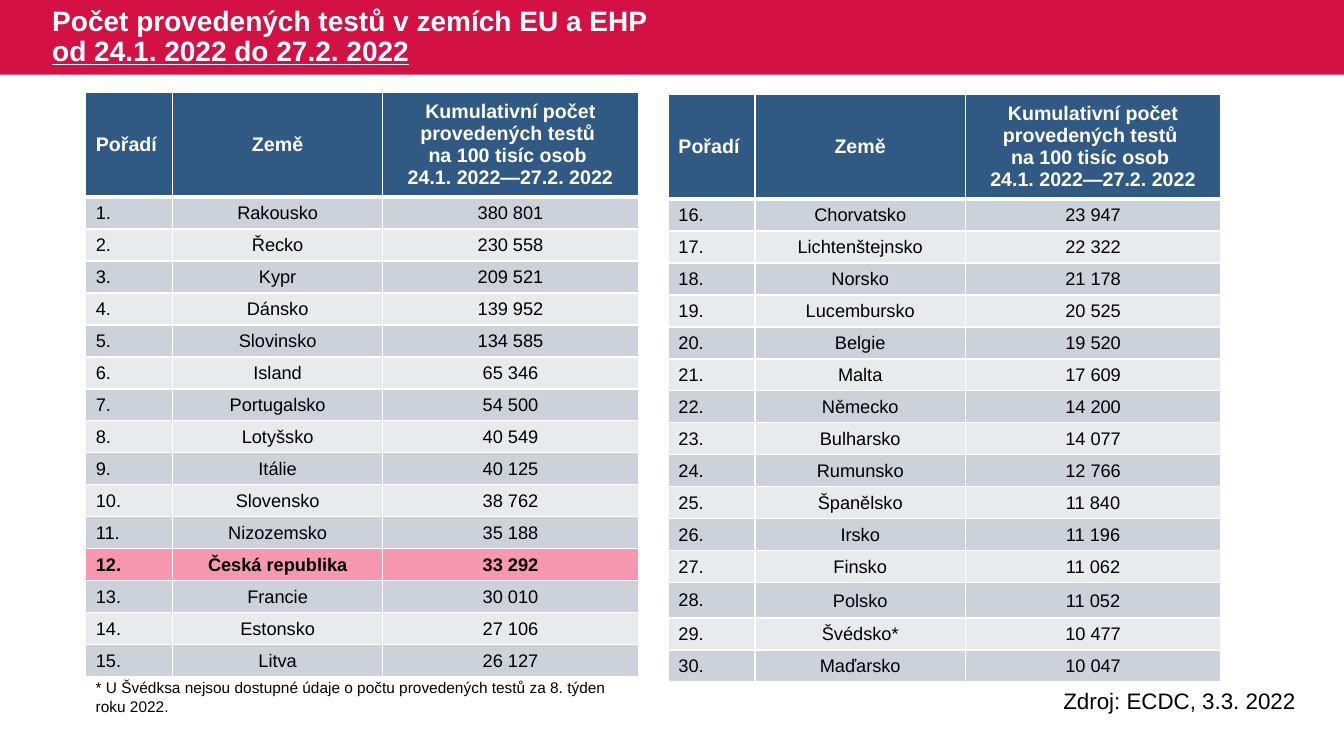
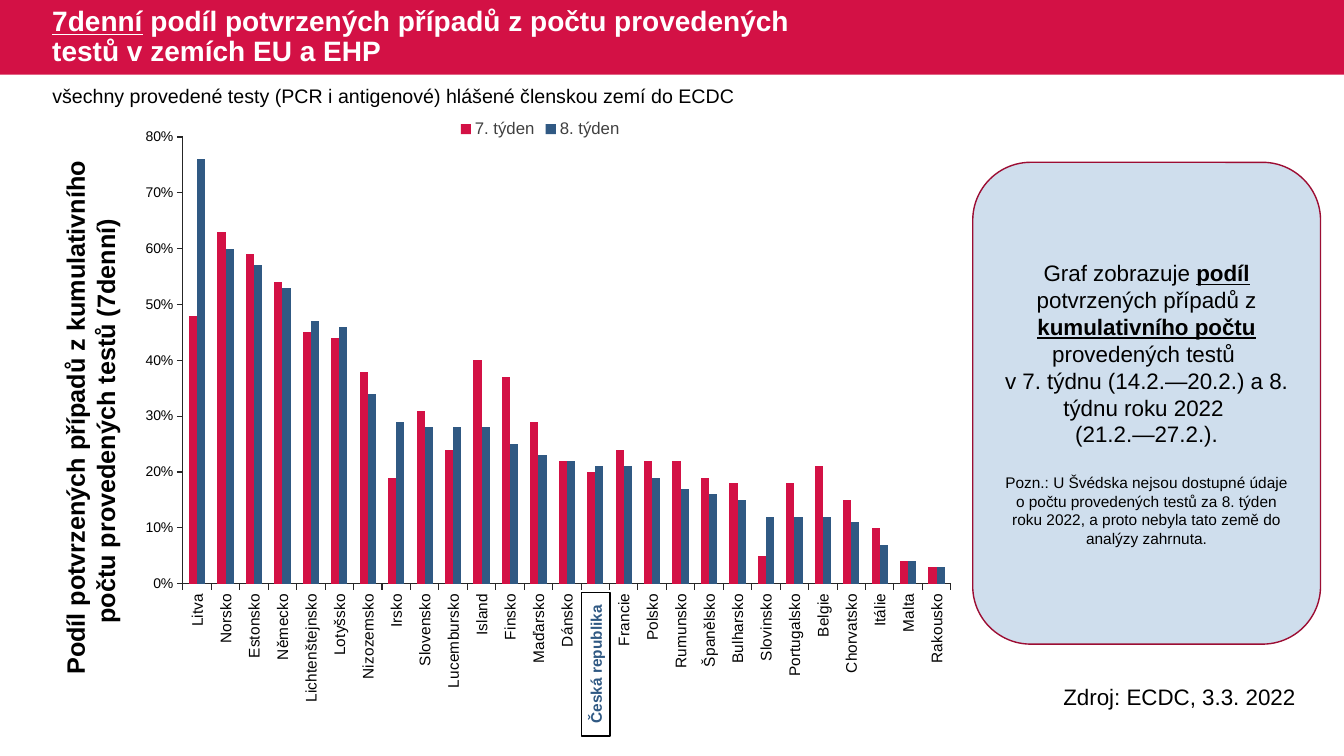
from dataclasses import dataclass
from typing import Optional

from lxml import etree
from pptx import Presentation
from pptx.chart.data import CategoryChartData
from pptx.dml.color import RGBColor
from pptx.enum.chart import XL_CHART_TYPE, XL_LEGEND_POSITION, XL_TICK_MARK
from pptx.enum.shapes import MSO_SHAPE
from pptx.enum.text import MSO_ANCHOR, PP_ALIGN
from pptx.oxml.ns import qn
from pptx.util import Emu, Inches, Pt

LEFT, CENTER = PP_ALIGN.LEFT, PP_ALIGN.CENTER
TOP, MIDDLE = MSO_ANCHOR.TOP, MSO_ANCHOR.MIDDLE
RECTANGLE, ROUNDED = MSO_SHAPE.RECTANGLE, MSO_SHAPE.ROUNDED_RECTANGLE
COLUMNS, LEGEND_TOP = XL_CHART_TYPE.COLUMN_CLUSTERED, XL_LEGEND_POSITION.TOP
OUTSIDE, NO_TICK = XL_TICK_MARK.OUTSIDE, XL_TICK_MARK.NONE

FONT = "Arial"
RED, BLUE, WHITE, BLACK = "D31145", "305983", "FFFFFF", "000000"
STRIPES = ("CDD1D9", "E8EAED")
HIGHLIGHT, PANEL, PANEL_EDGE = "F797B0", "CFDEED", "9C0D33"
AXIS, LEGEND = "262626", "404040"

SLIDE_WIDTH, SLIDE_HEIGHT = Inches(13.333), Inches(7.5)
HOME = "Česká republika"
SOURCE = "Zdroj: ECDC, 3.3. 2022"

COLUMN_WIDTHS = (6.45, 15.65, 19)
HEADER_HEIGHT, ROW_HEIGHT, TALL_ROW_HEIGHT = 12.8, 4, 4.67
TALL_RANK = 28
HEADERS = (
    ("Pořadí",),
    ("Země",),
    ("Kumulativní počet provedených testů ", "na 100 tisíc osob ", "24.1. 2022—27.2. 2022"),
)
TESTS = (
    ("Rakousko", "380 801"), ("Řecko", "230 558"), ("Kypr", "209 521"),
    ("Dánsko", "139 952"), ("Slovinsko", "134 585"), ("Island", "65 346"),
    ("Portugalsko", "54 500"), ("Lotyšsko", "40 549"), ("Itálie", "40 125"),
    ("Slovensko", "38 762"), ("Nizozemsko", "35 188"), (HOME, "33 292"),
    ("Francie", "30 010"), ("Estonsko", "27 106"), ("Litva", "26 127"),
    ("Chorvatsko", "23 947"), ("Lichtenštejnsko", "22 322"), ("Norsko", "21 178"),
    ("Lucembursko", "20 525"), ("Belgie", "19 520"), ("Malta", "17 609"),
    ("Německo", "14 200"), ("Bulharsko", "14 077"), ("Rumunsko", "12 766"),
    ("Španělsko", "11 840"), ("Irsko", "11 196"), ("Finsko", "11 062"),
    ("Polsko", "11 052"), ("Švédsko*", "10 477"), ("Maďarsko", "10 047"),
)
ROWS_PER_TABLE = 15

# Country, share in week 7, share in week 8
POSITIVITY = (
    ("Litva", 0.48, 0.76), ("Norsko", 0.63, 0.6), ("Estonsko", 0.59, 0.57),
    ("Německo", 0.54, 0.53), ("Lichtenštejnsko", 0.45, 0.47), ("Lotyšsko", 0.44, 0.46),
    ("Nizozemsko", 0.38, 0.34), ("Irsko", 0.19, 0.29), ("Slovensko", 0.31, 0.28),
    ("Lucembursko", 0.24, 0.28), ("Island", 0.4, 0.28), ("Finsko", 0.37, 0.25),
    ("Maďarsko", 0.29, 0.23), ("Dánsko", 0.22, 0.22), (HOME, 0.2, 0.21),
    ("Francie", 0.24, 0.21), ("Polsko", 0.22, 0.19), ("Rumunsko", 0.22, 0.17),
    ("Španělsko", 0.19, 0.16), ("Bulharsko", 0.18, 0.15), ("Slovinsko", 0.05, 0.12),
    ("Portugalsko", 0.18, 0.12), ("Belgie", 0.21, 0.12), ("Chorvatsko", 0.15, 0.11),
    ("Itálie", 0.1, 0.07), ("Malta", 0.04, 0.04), ("Rakousko", 0.03, 0.03),
)
SERIES = (("7. týden", RED), ("8. týden", BLUE))
PLOT_SHARES = {"x": 0.078, "y": 0.047, "w": 0.907, "h": 0.745}


def across(percent: float) -> Emu:
    return Emu(round(SLIDE_WIDTH * percent / 100))


def down(percent: float) -> Emu:
    return Emu(round(SLIDE_HEIGHT * percent / 100))


@dataclass(frozen=True)
class Area:
    """A rectangle in percent of the slide's width and height."""
    left: float
    top: float
    width: float
    height: float

    def lengths(self) -> tuple:
        return across(self.left), down(self.top), across(self.width), down(self.height)


@dataclass(frozen=True)
class Span:
    text: str
    bold: Optional[bool] = None
    underline: bool = False


@dataclass(frozen=True)
class Para:
    spans: tuple
    size: Optional[float] = None
    space_before: float = 0


BAND = Area(0, 0, 100, 9.87)
TITLE = Area(3.15, 0, 61.2, 9.87)


def color(value: str) -> RGBColor:
    return RGBColor.from_string(value)


def plain(*lines: str) -> list:
    return [Para((Span(line),)) for line in lines]


def set_font(font, size: float, ink: str, bold: bool = False) -> None:
    font.name, font.size, font.bold = FONT, Pt(size), bold
    font.color.rgb = color(ink)


def write(frame, paras: list, *, size: float, ink: str = BLACK, bold: bool = False,
          align=LEFT, line_spacing: Optional[float] = None) -> None:
    for index, para in enumerate(paras):
        paragraph = frame.paragraphs[0] if index == 0 else frame.add_paragraph()
        paragraph.alignment = align
        if line_spacing:
            paragraph.line_spacing = line_spacing
        if para.space_before:
            paragraph.space_before = Pt(para.space_before)
        for span in para.spans:
            for number, line in enumerate(span.text.split("\n")):
                if number:
                    paragraph.add_line_break()
                if not line:
                    continue
                run = paragraph.add_run()
                run.text = line
                set_font(run.font, para.size or size, ink,
                         bold if span.bold is None else span.bold)
                run.font.underline = span.underline


def add_text(page, area: Area, paras: list, *, anchor=TOP, rotation: float = 0, **text) -> None:
    box = page.shapes.add_textbox(*area.lengths())
    box.rotation = rotation
    box.text_frame.word_wrap = True
    box.text_frame.vertical_anchor = anchor
    write(box.text_frame, paras, **text)


def add_panel(page, area: Area, fill: str, *, preset=RECTANGLE, edge: Optional[str] = None,
              paras: tuple = (), rotation: float = 0, **text) -> None:
    panel = page.shapes.add_shape(preset, *area.lengths())
    panel.shadow.inherit = False
    panel.rotation = rotation
    panel.fill.solid()
    panel.fill.fore_color.rgb = color(fill)
    if edge:
        panel.line.color.rgb = color(edge)
        panel.line.width = Pt(1)
    else:
        panel.line.fill.background()
    if paras:
        panel.text_frame.word_wrap = True
        panel.text_frame.vertical_anchor = MIDDLE
        write(panel.text_frame, paras, align=CENTER, **text)


def add_page(deck, title: tuple, source_top: float):
    """Add a slide with the red band, its title and the source line."""
    page = deck.slides.add_slide(deck.slide_layouts[6])
    add_panel(page, BAND, RED)
    add_text(page, TITLE, [Para(title)], anchor=MIDDLE, size=20, ink=WHITE, bold=True,
             line_spacing=0.9)
    add_text(page, Area(78.38, source_top, 21.4, 4.93), plain(SOURCE), size=16)
    return page


def style_cell(cell, fill: str, bottom: float = 1) -> None:
    """Give a cell white borders and a solid fill."""
    properties = cell._tc.get_or_add_tcPr()
    for side, width in (("L", 1), ("R", 1), ("T", 1), ("B", bottom)):
        border = etree.SubElement(properties, qn(f"a:ln{side}"), w=str(Pt(width)))
        solid = etree.SubElement(border, qn("a:solidFill"))
        etree.SubElement(solid, qn("a:srgbClr"), val=WHITE)
    cell.fill.solid()
    cell.fill.fore_color.rgb = color(fill)
    cell.vertical_anchor = MIDDLE


def add_ranking(page, left: float, top: float, first_rank: int) -> None:
    rows = TESTS[first_rank - 1:first_rank - 1 + ROWS_PER_TABLE]
    heights = [HEADER_HEIGHT] + [
        TALL_ROW_HEIGHT if first_rank + index == TALL_RANK else ROW_HEIGHT
        for index in range(len(rows))]
    area = Area(left, top, sum(COLUMN_WIDTHS), sum(heights))
    table = page.shapes.add_table(len(heights), len(COLUMN_WIDTHS), *area.lengths()).table
    for column, width in zip(table.columns, COLUMN_WIDTHS):
        column.width = across(width)
    for row, height in zip(table.rows, heights):
        row.height = down(height)

    for column, lines in enumerate(HEADERS):
        cell = table.cell(0, column)
        style_cell(cell, BLUE, bottom=3)
        write(cell.text_frame, plain(*lines), size=14, ink=WHITE, bold=True,
              align=CENTER if column else LEFT)
    for index, (country, tests) in enumerate(rows):
        is_home = country == HOME
        for column, value in enumerate((f"{first_rank + index}.", country, tests)):
            cell = table.cell(index + 1, column)
            style_cell(cell, HIGHLIGHT if is_home else STRIPES[index % 2])
            if column:
                cell.margin_left = cell.margin_right = cell.margin_top = Inches(0.01)
                cell.margin_bottom = 0
            write(cell.text_frame, plain(value), size=13, bold=is_home,
                  align=CENTER if column else LEFT)


def place_plot(chart) -> None:
    """Fix the inner plot area at its shares of the chart."""
    plot_area = chart._chartSpace.chart.plotArea
    for old in plot_area.findall(qn("c:layout")):
        plot_area.remove(old)
    layout = etree.Element(qn("c:layout"))
    manual = etree.SubElement(layout, qn("c:manualLayout"))
    settings = {"layoutTarget": "inner", "xMode": "edge", "yMode": "edge", **PLOT_SHARES}
    for name, value in settings.items():
        etree.SubElement(manual, qn(f"c:{name}"), val=str(value))
    plot_area.insert(0, layout)


def add_positivity_chart(page, area: Area) -> None:
    countries, *weeks = zip(*POSITIVITY)
    data = CategoryChartData(number_format="0%")
    data.categories = countries
    for (name, _), values in zip(SERIES, weeks):
        data.add_series(name, values)
    chart = page.shapes.add_chart(COLUMNS, *area.lengths(), data).chart
    set_font(chart.font, 10, LEGEND)
    chart.has_title = False
    chart.has_legend = True
    chart.legend.position = LEGEND_TOP
    chart.legend.include_in_layout = False
    set_font(chart.legend.font, 12, LEGEND)

    plot = chart.plots[0]
    plot.gap_width, plot.overlap, plot.vary_by_categories = 150, 0, False
    for series, (_, fill) in zip(plot.series, SERIES):
        series.format.fill.solid()
        series.format.fill.fore_color.rgb = color(fill)
        series.invert_if_negative = False

    for axis, size in ((chart.category_axis, 11), (chart.value_axis, 10)):
        axis.has_major_gridlines = False
        axis.major_tick_mark, axis.minor_tick_mark = OUTSIDE, NO_TICK
        axis.format.line.color.rgb = color(AXIS)
        axis.format.line.width = Pt(0.75)
        set_font(axis.tick_labels.font, size, BLACK)
    chart.category_axis._element.txPr.bodyPr.set("rot", "-5400000")
    chart.value_axis.minimum_scale, chart.value_axis.maximum_scale = 0, 0.8
    chart.value_axis.major_unit = 0.1
    chart.value_axis.tick_labels.number_format = "0%"
    chart.value_axis.tick_labels.number_format_is_linked = False
    place_plot(chart)


def add_tests_page(deck) -> None:
    title = (Span("Počet provedených testů v zemích EU a EHP \n"),
             Span("od 24.1. 2022 do 27.2. 2022", underline=True))
    page = add_page(deck, title, source_top=90.27)
    add_ranking(page, 6.38, 12.27, first_rank=1)
    add_ranking(page, 49.73, 12.53, first_rank=1 + ROWS_PER_TABLE)
    add_text(page, Area(6.38, 89.07, 41.1, 6.27), plain(
        "* U Švédksa nejsou dostupné údaje o počtu provedených testů za 8. týden roku 2022."),
        size=11)


def add_positivity_page(deck) -> None:
    title = (Span("7denní", underline=True),
             Span(" podíl potvrzených případů z počtu provedených testů v zemích EU a EHP"))
    page = add_page(deck, title, source_top=89.73)
    add_text(page, Area(3.15, 10.4, 94.43, 4.53), plain(
        "všechny provedené testy (PCR i antigenové) hlášené členskou zemí do ECDC"), size=14)
    add_text(page, Area(-13.58, 50.53, 40.65, 9.47), plain(
        "Podíl potvrzených případů z kumulativního počtu provedených testů (7denní) "),
        rotation=270, size=18, bold=True, align=CENTER)
    add_positivity_chart(page, Area(8.7, 14.4, 63, 79.33))
    add_panel(page, Area(39, 86, 10.65, 3.73), WHITE, edge=BLACK, paras=plain(HOME),
              rotation=270, size=11, ink=BLUE, bold=True)
    explanation = (
        Span("Graf zobrazuje "), Span("podíl", bold=True, underline=True),
        Span(" potvrzených případů z "),
        Span("kumulativního počtu", bold=True, underline=True), Span(" provedených testů "))
    note = ("Pozn.: U Švédska nejsou dostupné údaje o počtu provedených testů za 8. týden "
            "roku 2022, a proto nebyla tato země do analýzy zahrnuta.")
    add_panel(page, Area(72.38, 21.47, 25.88, 63.73), PANEL, preset=ROUNDED, edge=PANEL_EDGE,
              size=16, paras=[
                  Para(explanation),
                  *plain("v 7. týdnu (14.2.—20.2.) a 8. týdnu roku 2022 ", "(21.2.—27.2.)."),
                  Para((Span(note),), size=11, space_before=18.4)])


def main() -> None:
    deck = Presentation()
    deck.slide_width, deck.slide_height = SLIDE_WIDTH, SLIDE_HEIGHT
    add_tests_page(deck)
    add_positivity_page(deck)
    deck.save("out.pptx")


if __name__ == "__main__":
    main()
